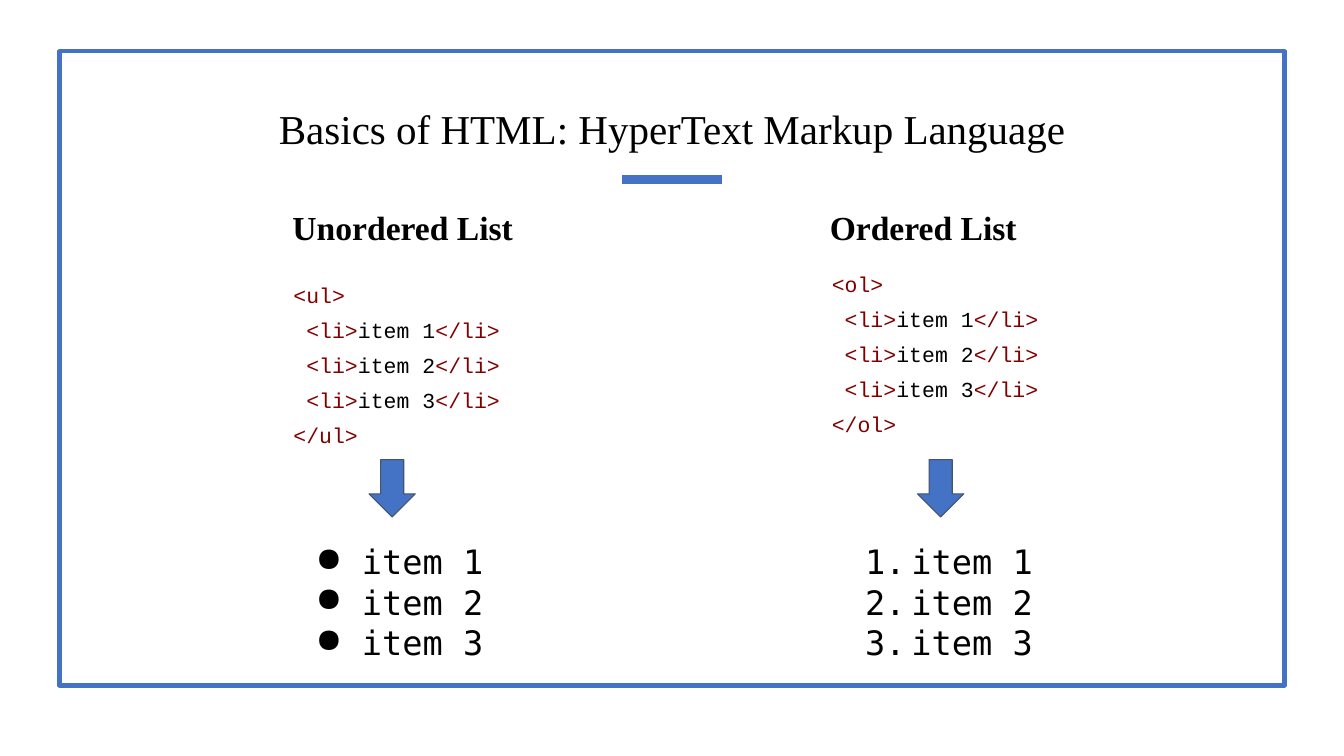
from lxml.etree import SubElement
from pptx import Presentation
from pptx.dml.color import RGBColor
from pptx.enum.shapes import MSO_CONNECTOR, MSO_SHAPE
from pptx.enum.text import MSO_ANCHOR, MSO_AUTO_SIZE, PP_ALIGN
from pptx.oxml.ns import qn
from pptx.util import Inches, Pt

COLORS = {"blue": "4472C4", "slate": "44546A", "tag": "800000", "text": "000000"}
ITEMS = ["item 1", "item 2", "item 3"]


def color(name):
    return RGBColor.from_string(COLORS[name])


def place(shape, left, top, width, height):
    shape.left, shape.top = Inches(left), Inches(top)
    shape.width, shape.height = Inches(width), Inches(height)


def prepare_frame(shape, anchor=MSO_ANCHOR.TOP):
    frame = shape.text_frame
    frame.word_wrap = True
    frame.auto_size = MSO_AUTO_SIZE.NONE
    frame.vertical_anchor = anchor
    frame.margin_left = frame.margin_right = Inches(0.13)
    frame.margin_top = frame.margin_bottom = Inches(0.13)
    return frame


def format_span(span, font, size, color_name="text", bold=False):
    span.font.name = font
    span.font.size = Pt(size)
    span.font.bold = bold
    span.font.color.rgb = color(color_name)


def set_bullet(para, left, hanging, kind, **attributes):
    properties = para._p.get_or_add_pPr()
    properties.set("marL", str(Inches(left)))
    properties.set("indent", str(-Inches(hanging)))
    SubElement(properties, qn("a:" + kind), **attributes)


def add_frame(page):
    border = page.shapes.add_shape(
        MSO_SHAPE.RECTANGLE, Inches(0.59), Inches(0.51), Inches(12.15), Inches(6.29))
    border.shadow.inherit = False
    border.fill.background()
    border.line.color.rgb = color("blue")
    border.line.width = Pt(3)

    rule = page.shapes.add_connector(
        MSO_CONNECTOR.STRAIGHT, Inches(6.17), Inches(1.78), Inches(7.16), Inches(1.78))
    rule.line.color.rgb = color("blue")
    rule.line.width = Pt(6)
    SubElement(rule._element.spPr, qn("a:effectLst"))


def fill_title(title, text):
    place(title, 0, 0.32, 13.33, 1.33)
    frame = prepare_frame(title, MSO_ANCHOR.BOTTOM)
    frame.text = text
    para = frame.paragraphs[0]
    para.alignment = PP_ALIGN.CENTER
    para.line_spacing = 0.9
    format_span(para.runs[0], "Times New Roman", 29.3)


def add_heading(page, text, left):
    box = page.shapes.add_textbox(Inches(left), Inches(1.92), Inches(2.92), Inches(0.8))
    frame = prepare_frame(box)
    frame.text = text
    format_span(frame.paragraphs[0].runs[0], "Times New Roman", 24, bold=True)


def fill_code(body, tag, left, top):
    place(body, left, top, 2.33, 3.65)
    frame = prepare_frame(body)
    lines = [[(f"<{tag}>", "tag")]]
    for item in ITEMS:
        lines.append([(" ", "text"), ("<li>", "tag"), (item, "text"), ("</li>", "tag")])
    lines.append([(f"</{tag}>", "tag")])

    for index, line in enumerate(lines):
        para = frame.add_paragraph() if index else frame.paragraphs[0]
        para.alignment = PP_ALIGN.LEFT
        para.line_spacing = 1.36
        para.space_before = Pt(0)
        set_bullet(para, 0, 0, "buNone")
        for text, color_name in line:
            span = para.add_run()
            span.text = text
            format_span(span, "Courier New", 15.3, color_name)


def add_result_list(page, left, kind, attributes):
    box = page.shapes.add_textbox(Inches(left), Inches(5.24), Inches(2.51), Inches(1.65))
    frame = prepare_frame(box)
    frame.text = "\n".join(ITEMS)
    for para in frame.paragraphs:
        set_bullet(para, 0.67, 0.46, kind, **attributes)
        format_span(para.runs[0], "DejaVu Sans Mono", 24)


def add_down_arrow(page, left):
    arrow = page.shapes.add_shape(
        MSO_SHAPE.DOWN_ARROW, Inches(left), Inches(4.56), Inches(0.46), Inches(0.57))
    arrow.shadow.inherit = False
    arrow.fill.solid()
    arrow.fill.fore_color.rgb = color("blue")
    arrow.line.color.rgb = color("slate")
    arrow.line.width = Pt(0.75)


def main():
    deck = Presentation()
    deck.slide_width, deck.slide_height = Inches(13.33), Inches(7.5)
    page = deck.slides.add_slide(deck.slide_layouts.get_by_name("Two Content"))

    # Border and title
    add_frame(page)
    fill_title(page.shapes.title, "Basics of HTML: HyperText Markup Language")

    # Unordered list: code, arrow, result
    add_heading(page, "Unordered List", 2.77)
    fill_code(page.placeholders[1], "ul", 2.78, 2.58)
    add_down_arrow(page, 3.66)
    add_result_list(page, 2.79, "buChar", {"char": "●"})

    # Ordered list: code, arrow, result
    add_heading(page, "Ordered List", 8.1)
    fill_code(page.placeholders[2], "ol", 8.12, 2.47)
    add_down_arrow(page, 9.1)
    add_result_list(page, 8.24, "buAutoNum", {"type": "arabicPeriod"})

    deck.save("out.pptx")


if __name__ == "__main__":
    main()
